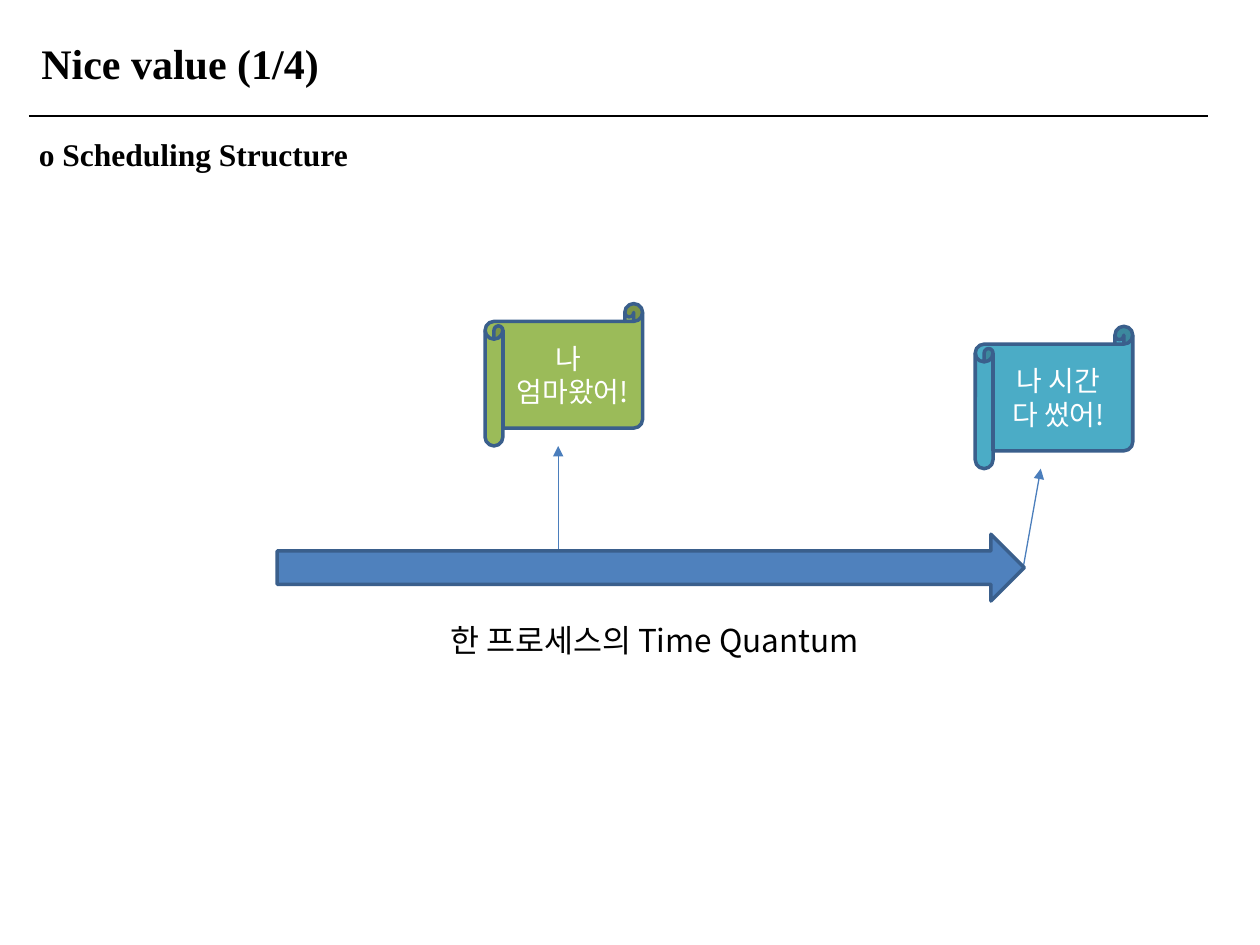
from lxml.etree import SubElement
from pptx import Presentation
from pptx.dml.color import RGBColor
from pptx.enum.shapes import MSO_CONNECTOR, MSO_SHAPE
from pptx.enum.text import MSO_ANCHOR, PP_ALIGN
from pptx.oxml.ns import qn
from pptx.util import Inches, Pt

COLS, ROWS = 100, 75
W, H = Inches(10), Inches(7.5)
COLORS = {
    "text": "000000", "label": "FFFFFF", "outline": "3A5F8C", "pointer": "4B7EBC",
    "quantum": "4F81BD", "wakeup": "9BBB59", "expired": "4BACC6",
}
LATIN, KOREAN = "Times New Roman", "Noto Sans CJK KR"


def color(name):
    """Return the named colour."""
    return RGBColor.from_string(COLORS[name])


def grid(x, y):
    """Turn a column and a row into slide lengths."""
    return round(x * W / COLS), round(y * H / ROWS)


def write(sp, text, size, font, fill="text", bold=False, align=PP_ALIGN.LEFT):
    """Put one formatted paragraph into a shape."""
    tf = sp.text_frame
    tf.word_wrap = True
    p = tf.paragraphs[0]
    p.text, p.alignment = text, align
    r = p.runs[0]
    r.font.size, r.font.bold, r.font.name = Pt(size), bold, font
    r.font.color.rgb = color(fill)
    SubElement(r.font._element, qn("a:ea")).set("typeface", font)
    return p


def add_text(shapes, box, *args, **kwargs):
    """Add a text box at a grid box."""
    x, y, w, h = box
    return write(shapes.add_textbox(*grid(x, y), *grid(w, h)), *args, **kwargs)


def add_block(shapes, kind, box, fill):
    """Add an outlined preset shape at a grid box."""
    x, y, w, h = box
    sp = shapes.add_shape(kind, *grid(x, y), *grid(w, h))
    sp.shadow.inherit = False
    sp.fill.solid()
    sp.fill.fore_color.rgb = color(fill)
    sp.line.color.rgb = color("outline")
    sp.line.width = Pt(2)
    return sp


def add_line(shapes, start, end, stroke, arrow=False):
    """Join two grid points, with an arrowhead at the end if asked."""
    line = shapes.add_connector(MSO_CONNECTOR.STRAIGHT, *grid(*start), *grid(*end))
    line.line.color.rgb = color(stroke)
    line.line.width = Pt(0.75)
    if arrow:
        SubElement(line.line._get_or_add_ln(), qn("a:tailEnd")).set("type", "triangle")
    SubElement(line._element.spPr, qn("a:effectLst"))


def add_header(shapes, box, title, heading):
    """Place the title, its rule and the section heading."""
    x, y, w, h = box
    add_text(shapes, (x, y, 97.8, 5), title, 24, LATIN, bold=True)
    add_line(shapes, (x, y + 6.7), (x + w, y + 6.7), "text")
    p = add_text(shapes, (x - 0.2, y + 7.1, w, h - 7.1), heading, 18, LATIN, bold=True)
    p.line_spacing = 1.2


def add_event(shapes, box, text, fill, start, end):
    """Place a scroll and the arrow that rises to it from the timeline."""
    x, y, _, h = box
    group = shapes.add_group_shape().shapes
    scroll = add_block(group, MSO_SHAPE.HORIZONTAL_SCROLL, box, fill)
    scroll.text_frame.vertical_anchor = MSO_ANCHOR.MIDDLE
    write(scroll, text, 16, KOREAN, "label", align=PP_ALIGN.CENTER)
    add_line(group, (x + start[0], y + start[1]), (x + end, y + h), "pointer", True)


def add_timeline(shapes, box):
    """Place the time quantum arrow, its caption and its two events."""
    x, y, w, h = box
    add_event(shapes, (x + 55.4, y - 16.5, 12.5, 11.3), "나 시간 다 썼어!",
              "expired", (3.8, 19.2), 5.2)
    add_event(shapes, (x + 16.5, y - 18.3, 12.5, 11.3), "나 엄마왔어!",
              "wakeup", (5.8, 19.6), 5.8)
    add_block(shapes, MSO_SHAPE.RIGHT_ARROW, box, "quantum")
    add_text(shapes, (x + 10.3, y + h + 1.1, 39.3, 4), "한 프로세스의 Time Quantum",
             18, KOREAN, align=PP_ALIGN.CENTER)


def main():
    """Build the slide and save it."""
    prs = Presentation()
    prs.slide_width, prs.slide_height = W, H
    s = prs.slides.add_slide(prs.slide_layouts[6])
    add_header(s.shapes, (2.3, 2.5, 93.6, 11.4), "Nice value (1/4)",
               "o\N{NO-BREAK SPACE}Scheduling Structure")
    add_timeline(s.shapes, (22, 42.4, 59.3, 5.3))
    prs.save("out.pptx")


if __name__ == "__main__":
    main()
